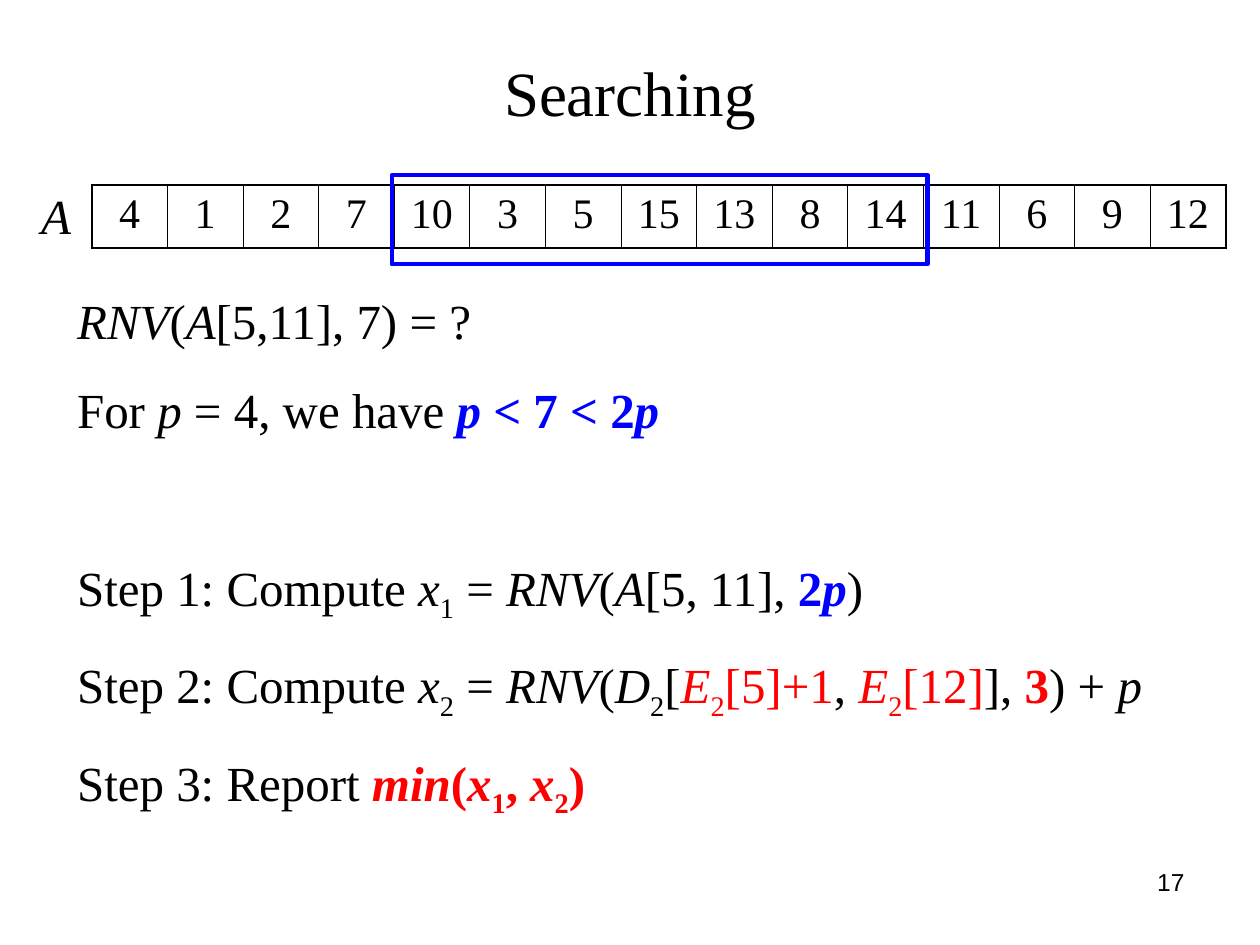
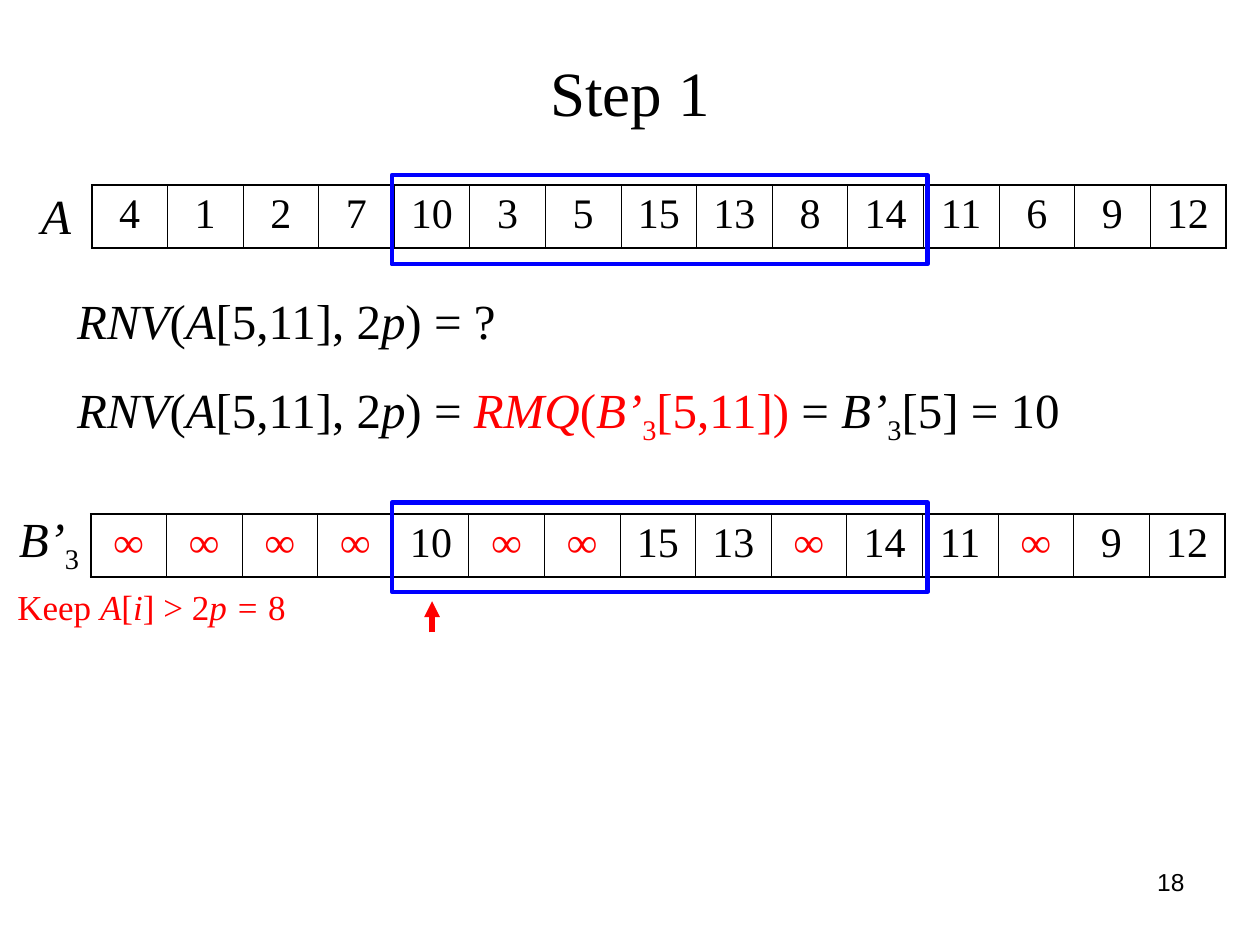
from dataclasses import dataclass
from typing import NamedTuple

from lxml import etree
from pptx import Presentation
from pptx import util as u
from pptx.dml.color import RGBColor
from pptx.enum import shapes, text
from pptx.oxml import ns

BLACK = RGBColor(0x00, 0x00, 0x00)
BLUE = RGBColor(0x00, 0x00, 0xFF)
RED = RGBColor(0xFF, 0x00, 0x00)
SERIF = "Times New Roman"
SANS = "Arial"

ARRAY_WIDTH = u.Cm(22.86)
ARRAY_HEIGHT = u.Cm(1.27)
OUTER_BORDER = u.Pt(1.08)
INNER_BORDER = u.Pt(0.45)
PARAGRAPH_GAP = 17.5
SECTION_GAP = 68


class Span(NamedTuple):
    words: str
    italic: bool = False
    bold: bool = False
    color: RGBColor = BLACK
    lowered: bool = False


class Line(NamedTuple):
    spans: list[Span]
    gap: float = PARAGRAPH_GAP


class Box(NamedTuple):
    left: float
    top: float
    width: float
    height: float

    def lengths(self) -> list[u.Length]:
        return [u.Cm(value) for value in self]


@dataclass
class ArrayRow:
    values: str
    left: float
    top: float
    label: list[Span]
    label_box: Box
    frame_top: float


@dataclass
class Page:
    title: str
    number: int
    body_box: Box
    lines: list[Line]
    arrays: list[ArrayRow]


def plain(words: str, color: RGBColor = BLACK) -> Span:
    return Span(words, color=color)


def var(words: str, color: RGBColor = BLACK) -> Span:
    return Span(words, italic=True, color=color)


def sub(words: str, color: RGBColor = BLACK) -> Span:
    return Span(words, color=color, lowered=True)


def strong(words: str, color: RGBColor, italic: bool = False,
           lowered: bool = False) -> Span:
    return Span(words, italic, True, color, lowered)


def apply(target, values: dict) -> None:
    for name, value in values.items():
        setattr(target, name, value)


def write(paragraph, spans: list[Span], size: float, face: str = SERIF) -> None:
    for span in spans:
        run = paragraph.add_run()
        run.text = span.words
        apply(run.font, {"name": face, "size": u.Pt(size),
                         "bold": span.bold, "italic": span.italic})
        run.font.color.rgb = span.color
        if span.lowered:
            run._r.get_or_add_rPr().set("baseline", "-25000")


def add_label(slide, box: Box, spans: list[Span], size: float,
              wrap: bool = True, face: str = SERIF,
              align=text.PP_ALIGN.LEFT) -> None:
    frame = slide.shapes.add_textbox(*box.lengths()).text_frame
    apply(frame, {"word_wrap": wrap, "auto_size": text.MSO_AUTO_SIZE.NONE})
    frame.paragraphs[0].alignment = align
    write(frame.paragraphs[0], spans, size, face)


def set_border(cell, side: str, width: int) -> None:
    line = etree.SubElement(cell._tc.get_or_add_tcPr(), ns.qn(f"a:ln{side}"),
                            w=str(int(width)))
    fill = etree.SubElement(line, ns.qn("a:solidFill"))
    etree.SubElement(fill, ns.qn("a:srgbClr"), val=str(BLACK))


def add_array(slide, row: ArrayRow) -> None:
    values = row.values.split()
    table = slide.shapes.add_table(1, len(values), u.Cm(row.left), u.Cm(row.top),
                                   ARRAY_WIDTH, ARRAY_HEIGHT).table
    apply(table, {"first_row": False, "horz_banding": False})
    last = len(values) - 1
    for index, value in enumerate(values):
        cell = table.cell(0, index)
        borders = {"L": OUTER_BORDER if index == 0 else INNER_BORDER,
                   "R": OUTER_BORDER if index == last else INNER_BORDER,
                   "T": OUTER_BORDER, "B": OUTER_BORDER}
        for side, width in borders.items():
            set_border(cell, side, width)
        cell.fill.background()
        paragraph = cell.text_frame.paragraphs[0]
        paragraph.alignment = text.PP_ALIGN.CENTER
        write(paragraph, [strong(value, RED) if value == "∞" else plain(value)], 24)
    add_label(slide, row.label_box, row.label, 28, wrap=False)
    add_range_frame(slide, row.frame_top)


def add_range_frame(slide, top: float) -> None:
    frame = slide.shapes.add_shape(shapes.MSO_SHAPE.RECTANGLE,
                                   *Box(7.9, top, 10.8, 1.8).lengths())
    frame.shadow.inherit = False
    frame.fill.background()
    frame.line.color.rgb = BLUE
    frame.line.width = u.Pt(2.5)


def add_pointer(slide, x: float, bottom: float, top: float) -> None:
    pointer = slide.shapes.add_connector(shapes.MSO_CONNECTOR.STRAIGHT, u.Cm(x),
                                         u.Cm(bottom), u.Cm(x), u.Cm(top))
    pointer.line.color.rgb = RED
    pointer.line.width = u.Pt(3)
    etree.SubElement(pointer.line._get_or_add_ln(), ns.qn("a:tailEnd"), type="triangle")
    etree.SubElement(pointer._element.spPr, ns.qn("a:effectLst"))


def place(placeholder, box: Box, anchor) -> None:
    apply(placeholder, dict(zip(("left", "top", "width", "height"), box.lengths())))
    apply(placeholder.text_frame, {"word_wrap": True, "vertical_anchor": anchor,
                                   "auto_size": text.MSO_AUTO_SIZE.NONE})


def fill_body(body, box: Box, lines: list[Line]) -> None:
    place(body, box, text.MSO_ANCHOR.TOP)
    frame = body.text_frame
    for index, line in enumerate(lines):
        paragraph = frame.add_paragraph() if index else frame.paragraphs[0]
        properties = paragraph._p.get_or_add_pPr()
        apply_indent = {"marL": "0", "indent": "0"}
        for name, value in apply_indent.items():
            properties.set(name, value)
        etree.SubElement(properties, ns.qn("a:buNone"))
        apply(paragraph, {"space_before": u.Pt(line.gap if index else 0),
                          "alignment": text.PP_ALIGN.LEFT})
        write(paragraph, line.spans, 28)


def add_page(deck, page: Page):
    slide = deck.slides.add_slide(deck.slide_layouts[1])
    title = slide.shapes.title
    place(title, Box(1.27, 0.76, 22.86, 2.16), text.MSO_ANCHOR.MIDDLE)
    heading = title.text_frame.paragraphs[0]
    heading.alignment = text.PP_ALIGN.CENTER
    write(heading, [plain(page.title)], 36)
    fill_body(slide.placeholders[1], page.body_box, page.lines)
    for row in page.arrays:
        add_array(slide, row)
    add_label(slide, Box(18.21, 17.35, 5.92, 1.32), [plain(str(page.number))], 14,
              face=SANS, align=text.PP_ALIGN.RIGHT)
    return slide


ARRAY_A = ArrayRow("4 1 2 7 10 3 5 15 13 8 14 11 6 9 12", 1.85, 3.73,
                   [var("A")], Box(0.58, 3.61, 1.12, 1.45), 3.53)
ARRAY_B = ArrayRow("∞ ∞ ∞ ∞ 10 ∞ ∞ 15 13 ∞ 14 11 ∞ 9 12", 1.83, 10.36,
                   [var("B’"), sub("3")], Box(0.13, 10.13, 1.73, 1.6), 10.13)

QUERY = [var("RNV"), plain("("), var("A")]
DOUBLE_P_QUERY = [*QUERY, plain("[5,11], 2"), var("p")]

SEARCHING = Page("Searching", 17, Box(1.3, 5.72, 23.19, 10.95), [
    Line([*QUERY, plain("[5,11], 7) = ?")]),
    Line([plain("For "), var("p"), plain(" = 4, we have "),
          strong("p ", BLUE, italic=True), strong("< 7 < 2", BLUE),
          strong("p", BLUE, italic=True)]),
    Line([plain("Step 1: Compute "), var("x"), sub("1"), plain(" = "), *QUERY,
          plain("[5, 11], "), strong("2", BLUE), strong("p", BLUE, italic=True),
          plain(")")], SECTION_GAP),
    Line([plain("Step 2: Compute "), var("x"), sub("2"), plain(" = "),
          var("RNV"), plain("("), var("D"), sub("2"), plain("["),
          var("E", RED), sub("2", RED), plain("[5]+1", RED), plain(", "),
          var("E", RED), sub("2", RED), plain("[12]", RED), plain("], "),
          strong("3", RED), plain(") + "), var("p")]),
    Line([plain("Step 3: Report "), strong("min", RED, italic=True),
          strong("(", RED), strong("x", RED, italic=True),
          strong("1", RED, lowered=True), strong(", ", RED),
          strong("x", RED, italic=True), strong("2", RED, lowered=True),
          strong(")", RED)]),
], [ARRAY_A])

STEP_ONE = Page("Step 1", 18, Box(1.3, 5.72, 22.61, 3.4), [
    Line([*DOUBLE_P_QUERY, plain(") = ?")]),
    Line([*DOUBLE_P_QUERY, plain(") = "), var("RMQ", RED), plain("(", RED),
          var("B’", RED), sub("3", RED), plain("[5,11])", RED), plain(" = "),
          var("B’"), sub("3"), plain("[5] = 10")]),
], [ARRAY_A, ARRAY_B])

KEEP_RULE = [plain("Keep ", RED), var("A", RED), plain("[", RED), var("i", RED),
             plain("] > 2", RED), var("p = ", RED), plain("8", RED)]


def main() -> None:
    deck = Presentation()
    apply(deck, {"slide_width": u.Cm(25.4), "slide_height": u.Cm(19.05)})
    add_page(deck, SEARCHING)
    step_one = add_page(deck, STEP_ONE)
    add_label(step_one, Box(0.1, 11.68, 6.81, 1.12), KEEP_RULE, 20)
    add_pointer(step_one, 8.71, 12.75, 12.12)
    deck.save("out.pptx")


if __name__ == "__main__":
    main()
